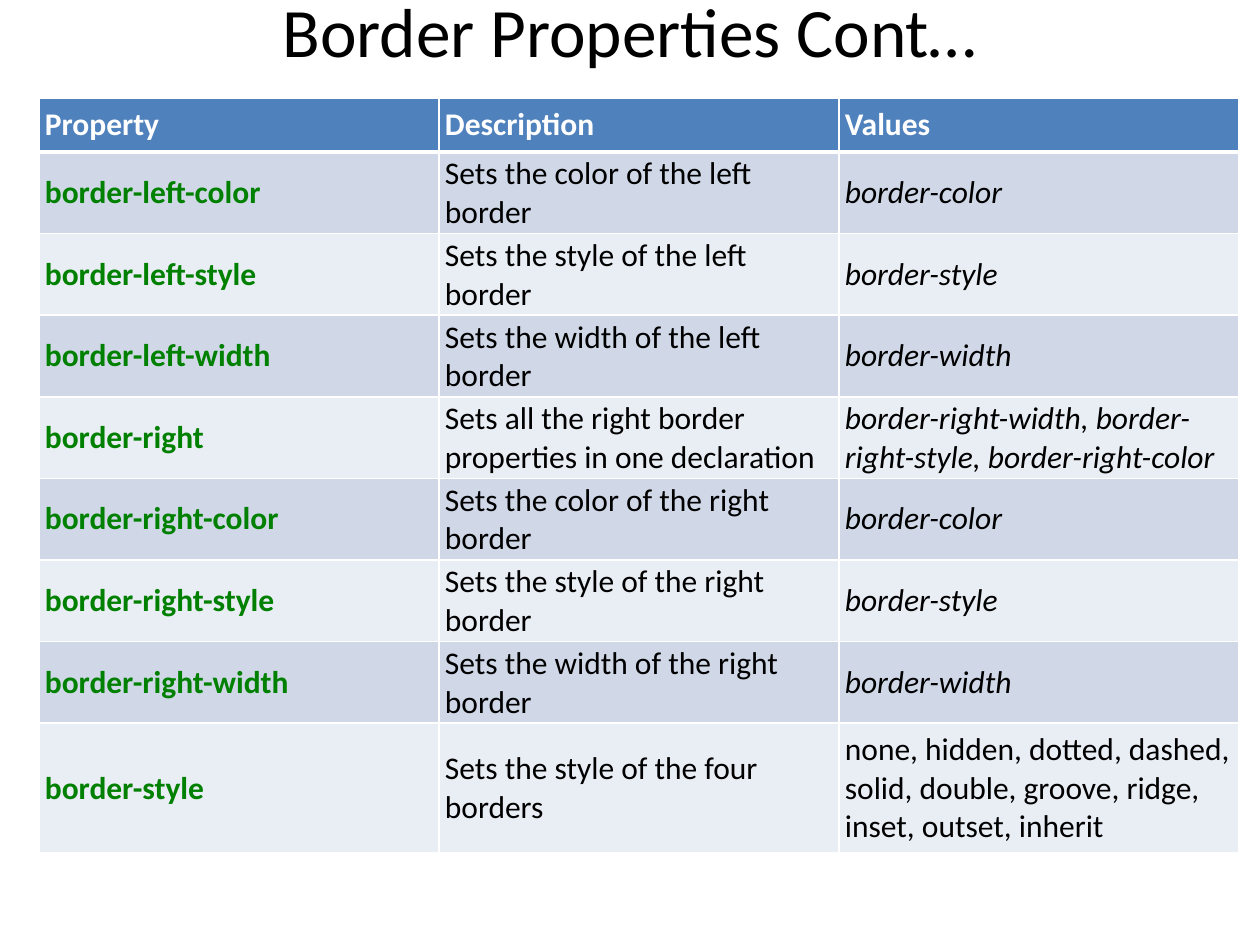
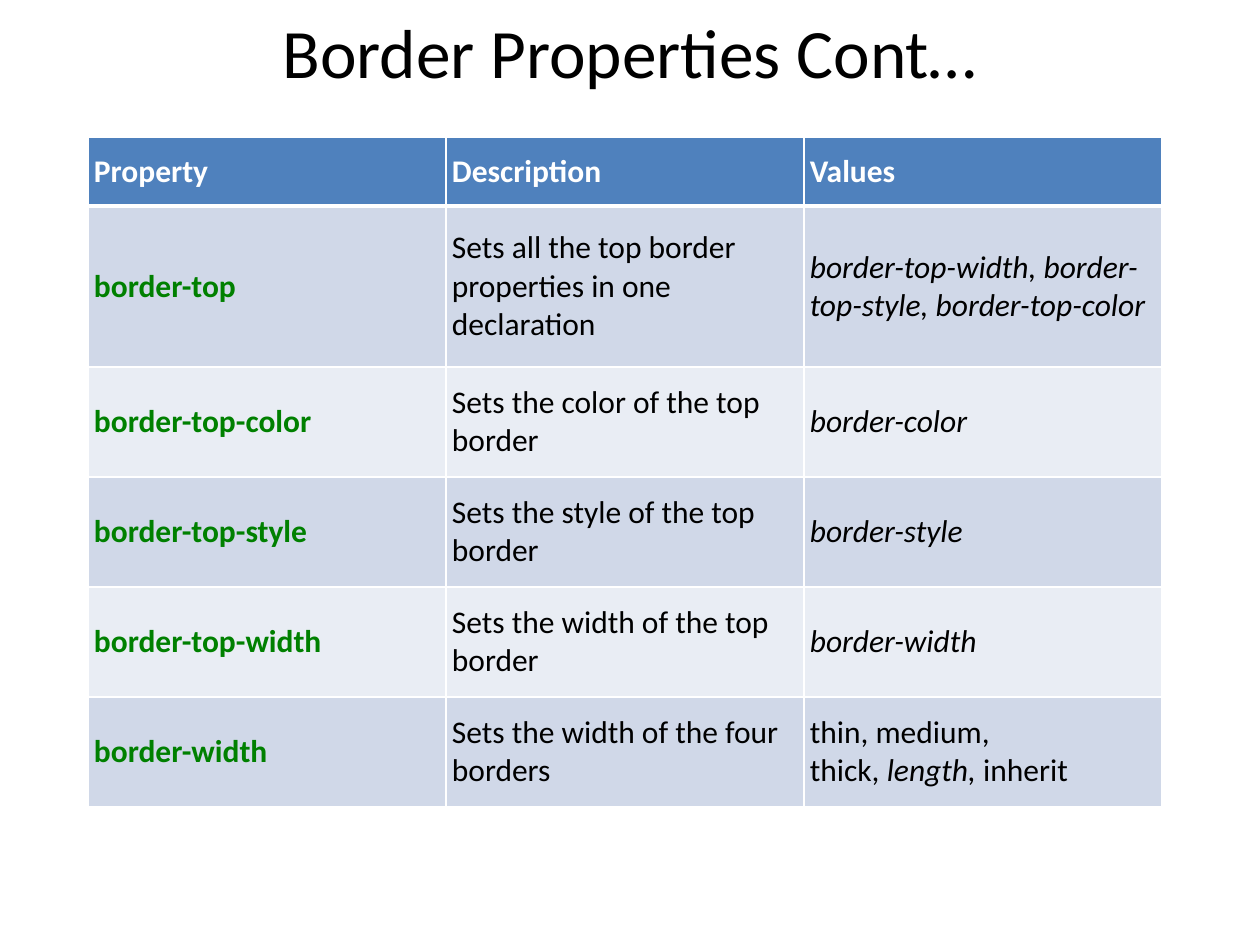
from dataclasses import dataclass

from lxml import etree
from pptx import Presentation
from pptx.dml.color import RGBColor
from pptx.enum.text import MSO_ANCHOR, PP_ALIGN
from pptx.oxml.ns import qn
from pptx.util import Emu, Pt

MIDDLE = MSO_ANCHOR.MIDDLE
LEFT, CENTER = PP_ALIGN.LEFT, PP_ALIGN.CENTER
PIXELS_PER_INCH = 126
BLANK_LAYOUT = 6


@dataclass(frozen=True)
class Theme:
    """Colours, type sizes and rule weights shared by the slides."""
    font: str = "Calibri"
    title_size: float = 39.6
    cell_size: float = 18
    ink: str = "000000"
    paper: str = "FFFFFF"
    property_name: str = "008000"
    header: str = "4F81BD"
    bands: tuple = ("D0D8E8", "E9EDF4")
    grid_weight: float = 1
    header_weight: float = 3


THEME = Theme()
TITLE = "Border Properties Cont…"
HEADINGS = ("Property", "Description", "Values")


def px(pixels):
    """Turn pixels into EMU."""
    return Emu(round(pixels * 914400 / PIXELS_PER_INCH))


def write(paragraph, text, size=THEME.cell_size, color=THEME.ink,
          bold=False, italic=False, align=LEFT):
    """Add one formatted run to a paragraph."""
    paragraph.alignment = align
    run = paragraph.add_run()
    run.text = text
    font = run.font
    font.name, font.size = THEME.font, Pt(size)
    font.bold, font.italic = bold, italic
    font.color.rgb = RGBColor.from_string(color)


def add_title(slide, top, height):
    """Add the centred slide title."""
    title = slide.shapes.add_textbox(px(63), px(top), px(1134), px(height))
    frame = title.text_frame
    frame.word_wrap = True
    frame.vertical_anchor = MIDDLE
    write(frame.paragraphs[0], TITLE, size=THEME.title_size, align=CENTER)


def draw_borders(cell, top, bottom):
    """Draw the four cell borders, with the given top and bottom weights."""
    properties = cell._tc.get_or_add_tcPr()
    grid = THEME.grid_weight
    for side, weight in (("L", grid), ("R", grid), ("T", top), ("B", bottom)):
        line = etree.SubElement(properties, qn(f"a:ln{side}"), w=str(Pt(weight)))
        fill = etree.SubElement(line, qn("a:solidFill"))
        etree.SubElement(fill, qn("a:srgbClr"), val=THEME.paper)


def style_cell(cell, row):
    """Set borders, fill, margins and anchor according to the row."""
    heavy, light = THEME.header_weight, THEME.grid_weight
    draw_borders(cell, top=heavy if row == 1 else light,
                 bottom=heavy if row == 0 else light)
    color = THEME.bands[(row - 1) % 2] if row else THEME.header
    cell.fill.solid()
    cell.fill.fore_color.rgb = RGBColor.from_string(color)
    cell.margin_left = cell.margin_right = px(6)
    cell.margin_top = cell.margin_bottom = px(3)
    cell.vertical_anchor = MIDDLE


def add_property_table(slide, left, top, column_width, row_heights, height, properties):
    """Add the table of properties, descriptions and allowed values."""
    frame = slide.shapes.add_table(
        len(properties) + 1, len(HEADINGS), px(left), px(top),
        px(column_width * len(HEADINGS)), px(height))
    table = frame.table
    for column in table.columns:
        column.width = px(column_width)
    for row, row_height in zip(table.rows, row_heights):
        row.height = px(row_height)
    frame.height = px(height)

    for column, heading in enumerate(HEADINGS):
        cell = table.cell(0, column)
        style_cell(cell, 0)
        write(cell.text_frame.paragraphs[0], heading, color=THEME.paper, bold=True)
    for row, (name, description, values) in enumerate(properties, start=1):
        cells = [table.cell(row, column) for column in range(len(HEADINGS))]
        for cell in cells:
            style_cell(cell, row)
        name_text, description_text, values_text = (
            cell.text_frame.paragraphs[0] for cell in cells)
        write(name_text, name, color=THEME.property_name, bold=True)
        write(description_text, description)
        for value, italic in values:
            write(values_text, value, italic=italic)


def aspect_rows(side):
    """List the color, style and width properties of one side."""
    return [(f"border-{side}-{aspect}", f"Sets the {aspect} of the {side} border",
             [(f"border-{aspect}", True)])
            for aspect in ("color", "style", "width")]


def shorthand_row(side):
    """Describe the property that sets one whole side."""
    values = ", ".join(f"border-{side}-{aspect}" for aspect in ("width", "style", "color"))
    return (f"border-{side}", f"Sets all the {side} border properties in one declaration",
            [(values, True)])


def four_borders_row(aspect, values):
    """Describe the property that sets one aspect of all borders."""
    return f"border-{aspect}", f"Sets the {aspect} of the four borders", values


def add_blank_slide(presentation):
    """Add an empty slide."""
    return presentation.slides.add_slide(presentation.slide_layouts[BLANK_LAYOUT])


def main():
    """Build and save the two slides."""
    presentation = Presentation()
    presentation.slide_width, presentation.slide_height = px(1260), px(945)

    left_right = add_blank_slide(presentation)
    add_title(left_right, top=0, height=60)
    styles = ("none, hidden, dotted, dashed, solid, double, groove, ridge, "
              "inset, outset, inherit")
    add_property_table(
        left_right, left=39, top=98, column_width=400,
        row_heights=[54] * 4 + [79] + [54] * 3 + [130], height=750,
        properties=[*aspect_rows("left"), shorthand_row("right"), *aspect_rows("right"),
                    four_borders_row("style", [(styles, False)])])

    top_side = add_blank_slide(presentation)
    add_title(top_side, top=10, height=81)
    widths = [("thin, medium, thick,\u00a0", False), ("length,\u00a0", True),
              ("inherit", False)]
    add_property_table(
        top_side, left=88, top=137, column_width=358,
        row_heights=[69, 161] + [110] * 4, height=670,
        properties=[shorthand_row("top"), *aspect_rows("top"),
                    four_borders_row("width", widths)])

    presentation.save("out.pptx")


main()
